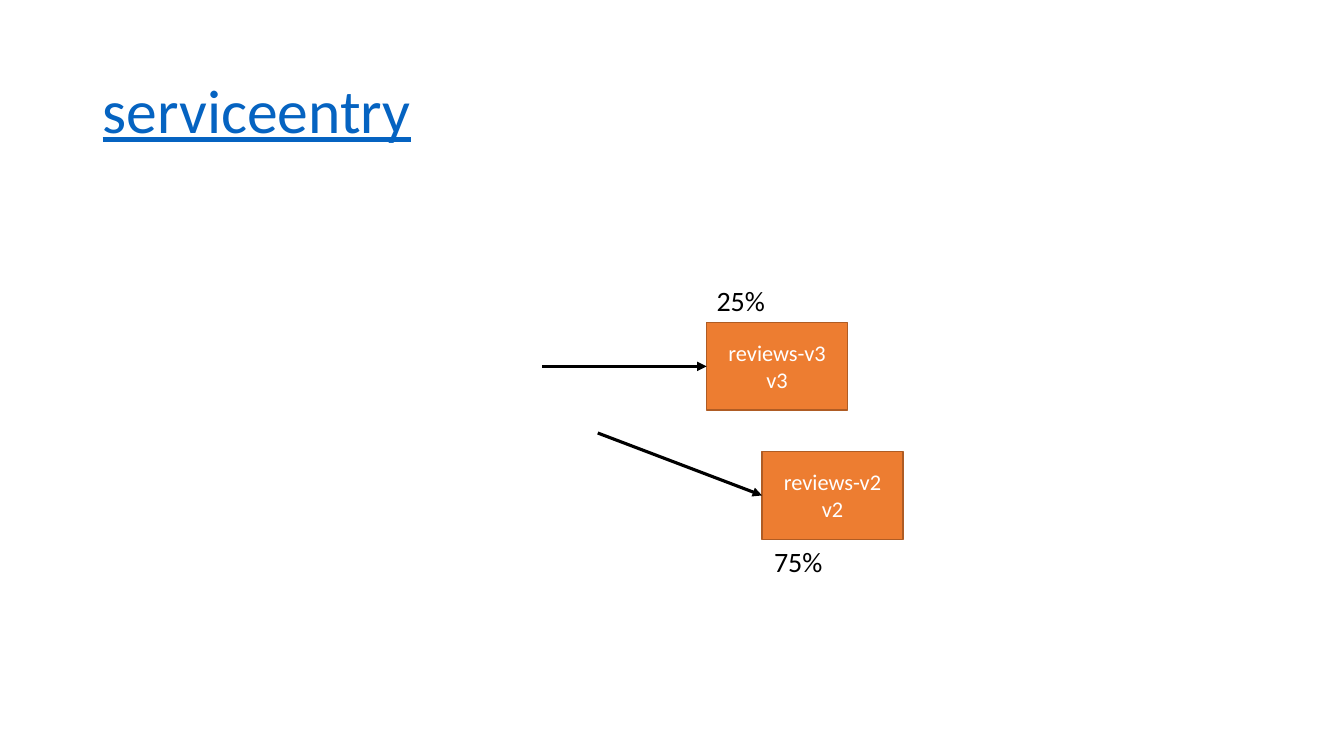
from pptx import Presentation
from pptx.dml.color import RGBColor
from pptx.enum.shapes import MSO_CONNECTOR, MSO_SHAPE
from pptx.enum.text import MSO_ANCHOR, MSO_AUTO_SIZE, PP_ALIGN
from pptx.oxml.ns import qn
from pptx.util import Pt
from lxml import etree

STRAIGHT = MSO_CONNECTOR.STRAIGHT
RECTANGLE = MSO_SHAPE.RECTANGLE
MIDDLE = MSO_ANCHOR.MIDDLE
GROW = MSO_AUTO_SIZE.SHAPE_TO_FIT_TEXT
LEFT, CENTER = PP_ALIGN.LEFT, PP_ALIGN.CENTER

FONT = "Calibri"
COLORS = {
    "service": "ED7D31",
    "border": "AF5C24",
    "service_text": "FFFFFF",
    "ink": "000000",
    "title": "0563C1",
}
BOX_WIDTH, BOX_HEIGHT = 100.8, 62.6
LABEL_WIDTH, LABEL_HEIGHT = 49.7, 31.7
ARROW_RUN = 117.3

# name, version, box left and top, arrow rise, share, label left and top
ROUTES = [
    ("reviews-v3", "v3", 504.7, 230.4, 0, "25%", 504.7, 198.7),
    ("reviews-v2", "v2", 544.3, 322.6, 44.6, "75%", 545.8, 385.2),
]


def color(name):
    return RGBColor.from_string(COLORS[name])


def write_text(frame, text, size, ink, align=LEFT, underline=None, spacing=None):
    for index, line in enumerate(text.split("\n")):
        para = frame.paragraphs[0] if index == 0 else frame.add_paragraph()
        para.alignment = align
        para.line_spacing = spacing
        span = para.add_run()
        span.text = line
        span.font.name = FONT
        span.font.size = Pt(size)
        span.font.color.rgb = color(ink)
        span.font.underline = underline


def add_title(page, text):
    title = page.shapes.title
    title.left, title.top = Pt(66.2), Pt(28.8)
    title.width, title.height = Pt(828), Pt(104.4)
    title.text_frame.vertical_anchor = MIDDLE
    write_text(title.text_frame, text, 44, "title", underline=True, spacing=0.9)


def add_service(page, text, left, top):
    box = page.shapes.add_shape(
        RECTANGLE, Pt(left), Pt(top), Pt(BOX_WIDTH), Pt(BOX_HEIGHT))
    box.shadow.inherit = False
    box.fill.solid()
    box.fill.fore_color.rgb = color("service")
    box.line.color.rgb = color("border")
    box.line.width = Pt(1)
    box.text_frame.word_wrap = True
    box.text_frame.vertical_anchor = MIDDLE
    write_text(box.text_frame, text, 16, "service_text", align=CENTER)


def add_arrow(page, start_x, start_y, end_x, end_y):
    arrow = page.shapes.add_connector(
        STRAIGHT, Pt(start_x), Pt(start_y), Pt(end_x), Pt(end_y))
    arrow.line.color.rgb = color("ink")
    arrow.line.width = Pt(2.25)
    outline = arrow.line._get_or_add_ln()
    etree.SubElement(outline, qn("a:tailEnd"), type="triangle")
    etree.SubElement(arrow._element.spPr, qn("a:effectLst"))


def add_label(page, text, left, top):
    label = page.shapes.add_textbox(
        Pt(left), Pt(top), Pt(LABEL_WIDTH), Pt(LABEL_HEIGHT))
    label.text_frame.word_wrap = False
    label.text_frame.auto_size = GROW
    write_text(label.text_frame, text, 20, "ink")


def main():
    deck = Presentation()
    deck.slide_width, deck.slide_height = Pt(960), Pt(540)
    page = deck.slides.add_slide(deck.slide_layouts[5])

    add_title(page, "serviceentry")

    # Each route: service box, incoming arrow, traffic share
    for name, version, left, top, rise, share, label_left, label_top in ROUTES:
        add_service(page, f"{name}\n{version}", left, top)
        middle = top + BOX_HEIGHT / 2
        add_arrow(page, left - ARROW_RUN, middle - rise, left, middle)
        add_label(page, share, label_left, label_top)

    deck.save("out.pptx")


main()
